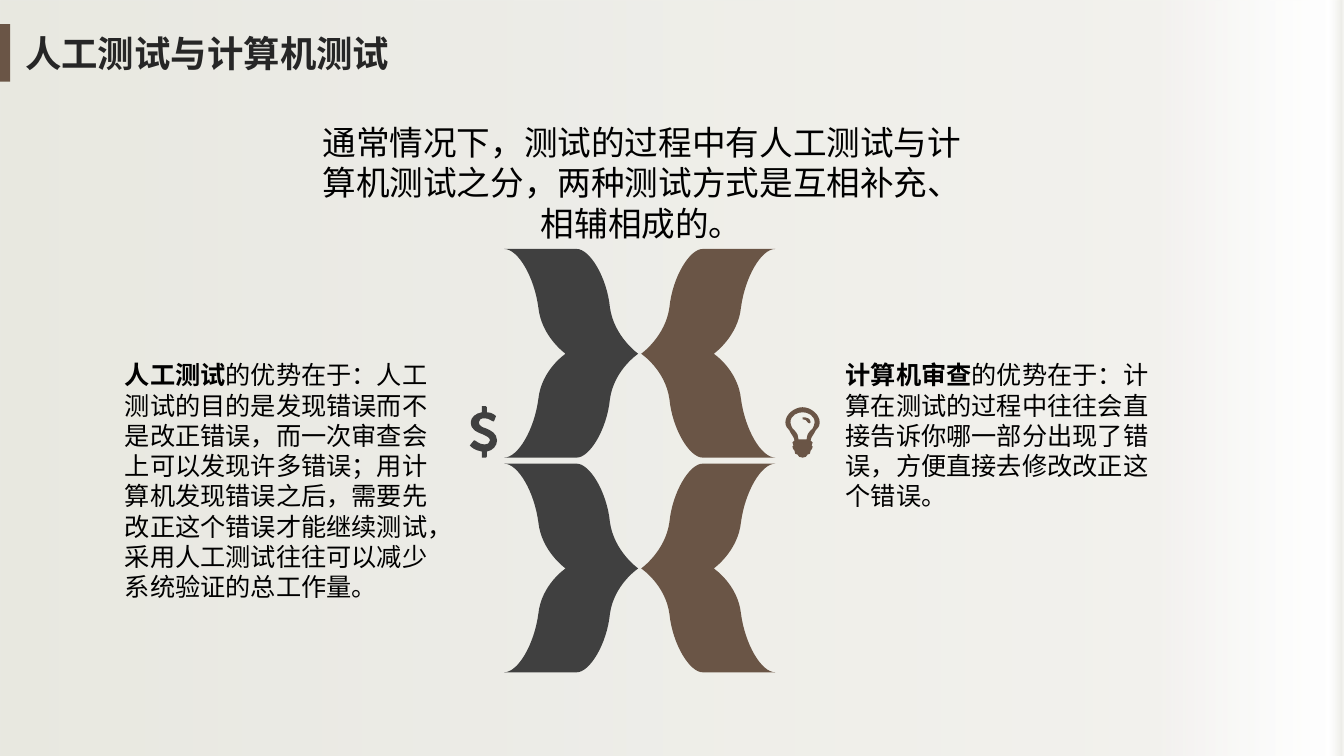
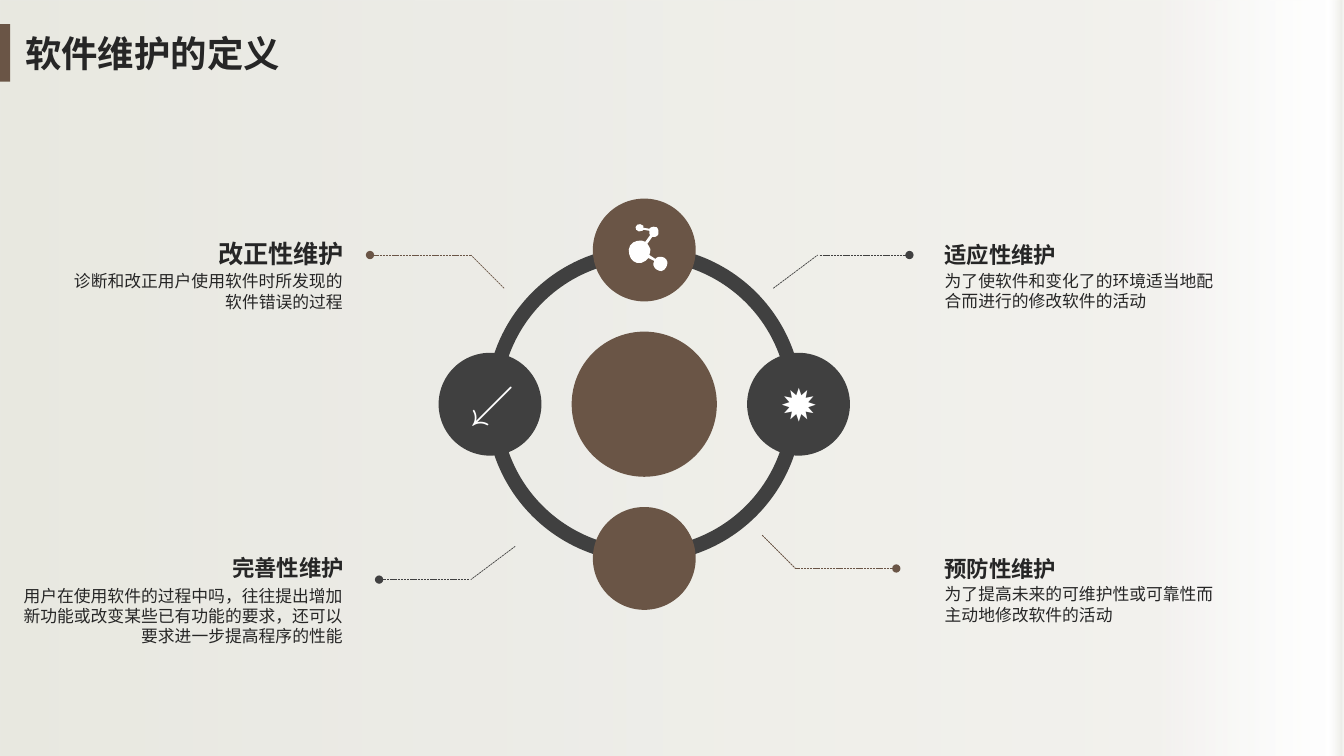
from lxml import etree
from pptx import Presentation
from pptx.dml.color import RGBColor
from pptx.enum.dml import MSO_LINE
from pptx.enum.shapes import MSO_CONNECTOR, MSO_SHAPE
from pptx.enum.text import MSO_ANCHOR, PP_ALIGN
from pptx.oxml import parse_xml
from pptx.oxml.ns import qn
from pptx.util import Inches, Pt

# Shared look
BROWN = RGBColor(0x6A, 0x55, 0x46)
CHARCOAL = RGBColor(0x40, 0x40, 0x40)
INK = RGBColor(0x26, 0x26, 0x26)
BLACK = RGBColor(0, 0, 0)
WHITE = RGBColor(0xFF, 0xFF, 0xFF)
HEAD_FONT, BODY_FONT, SYMBOL_FONT = "Noto Sans CJK SC", "Arial", "Roboto"
WIDTH, HEIGHT = 13.33, 7.5
BACKGROUND_STOPS = [(0, "E7E7DF", 94), (86, "F0EFEB", 85), (99, "FFFFFF", 62), (100, "EBEBE5", 100)]
LEFT, CENTER, RIGHT = PP_ALIGN.LEFT, PP_ALIGN.CENTER, PP_ALIGN.RIGHT
NO_INSETS = (0, 0, 0, 0)

# Slide 1: text as (box, alignment, size, runs), each run being (text, bold)
TESTING_TITLE = "人工测试与计算机测试"
TESTING_TEXTS = [
    ((3.06, 1.16, 6.61, 1.31), CENTER, 24,
     [("通常情况下，测试的过程中有人工测试与计算机测试之分，两种测试方式是互相补充、相辅相成的。", False)]),
    ((1.14, 3.52, 3.33, 2.52), LEFT, 18,
     [("人工测试", True),
      ("的优势在于：人工测试的目的是发现错误而不是改正错误，而一次审查会上可以发现许多错误；"
       "用计算机发现错误之后，需要先改正这个错误才能继续测试，采用人工测试往往可以减少系统验证的总工作量。", False)]),
    ((8.29, 3.52, 3.33, 1.61), LEFT, 18,
     [("计算机审查", True),
      ("的优势在于：计算在测试的过程中往往会直接告诉你哪一部分出现了错误，方便直接去修改改正这个错误。", False)]),
]

# Outlines: a start point, then lines (x, y) and curves (two controls and an end)
RIBBON = [[
    (0.34, 0.58), (0.37, 0.87, 0.61, 1.04, 0.61, 1.04), (0.61, 1.04, 0.37, 1.2, 0.34, 1.49),
    (0.3, 1.79, 0.14, 2.07, 0, 2.07), (0.72, 2.07), (0.85, 2.07, 1.02, 1.79, 1.05, 1.49),
    (1.09, 1.2, 1.33, 1.04, 1.33, 1.04), (1.33, 1.04, 1.09, 0.87, 1.05, 0.58),
    (1.02, 0.28, 0.85, 0, 0.72, 0), (0, 0), (0.14, 0, 0.3, 0.28, 0.34, 0.58),
]]
RIBBON_LEFT, RIBBON_RIGHT, RIBBON_TOPS = 5, 7.69, (2.47, 4.6)
BULB = [
    [(0.3, 0.23), (0.29, 0.26, 0.25, 0.3, 0.25, 0.33), (0.27, 0.35), (0.26, 0.38), (0.27, 0.39),
     (0.27, 0.41, 0.26, 0.42, 0.25, 0.43), (0.25, 0.46, 0.24, 0.47, 0.22, 0.47),
     (0.21, 0.49, 0.2, 0.5, 0.17, 0.5), (0.14, 0.5, 0.13, 0.49, 0.12, 0.47),
     (0.1, 0.47, 0.09, 0.46, 0.09, 0.43), (0.08, 0.42, 0.07, 0.41, 0.07, 0.39),
     (0.08, 0.38), (0.07, 0.35), (0.09, 0.33), (0.09, 0.3, 0.05, 0.26, 0.04, 0.23),
     (0.02, 0.21, 0, 0.19, 0, 0.15), (0, 0.07, 0.09, 0, 0.17, 0),
     (0.25, 0, 0.34, 0.07, 0.34, 0.15), (0.34, 0.19, 0.32, 0.21, 0.3, 0.23)],
    [(0.17, 0.05), (0.12, 0.05, 0.05, 0.08, 0.05, 0.15), (0.05, 0.17, 0.06, 0.19, 0.07, 0.21),
     (0.09, 0.23), (0.12, 0.26, 0.13, 0.29, 0.13, 0.32), (0.21, 0.32),
     (0.21, 0.29, 0.22, 0.26, 0.25, 0.23), (0.27, 0.21),
     (0.28, 0.19, 0.29, 0.17, 0.29, 0.15), (0.29, 0.08, 0.22, 0.05, 0.17, 0.05)],
    [(0.24, 0.16), (0.23, 0.16, 0.22, 0.15, 0.22, 0.15), (0.22, 0.13, 0.19, 0.12, 0.17, 0.12),
     (0.17, 0.1), (0.21, 0.1, 0.25, 0.11, 0.25, 0.15), (0.24, 0.16)],
]
DOLLAR = [[
    (0.17, 0.45), (0.17, 0.5), (0.16, 0.51), (0.12, 0.51), (0.12, 0.45),
    (0.05, 0.44, 0.01, 0.4, 0.01, 0.4), (0, 0.39), (0.04, 0.34), (0.05, 0.34),
    (0.06, 0.34, 0.09, 0.38, 0.15, 0.38), (0.17, 0.38, 0.2, 0.37, 0.2, 0.34),
    (0.2, 0.31, 0.17, 0.3, 0.13, 0.28), (0.08, 0.26, 0.01, 0.24, 0.01, 0.16),
    (0.01, 0.11, 0.06, 0.07, 0.12, 0.06), (0.12, 0), (0.16, 0), (0.17, 0.01), (0.17, 0.06),
    (0.23, 0.06, 0.26, 0.1, 0.26, 0.1), (0.24, 0.15), (0.23, 0.15),
    (0.22, 0.15, 0.19, 0.12, 0.15, 0.12), (0.11, 0.12, 0.09, 0.13, 0.09, 0.16),
    (0.09, 0.19, 0.12, 0.21, 0.16, 0.22), (0.21, 0.24, 0.27, 0.27, 0.27, 0.34),
    (0.27, 0.39, 0.23, 0.44, 0.17, 0.45),
]]
MOLECULE = [[
    (0.31, 0.33), (0.3, 0.33, 0.29, 0.34, 0.28, 0.35), (0.22, 0.31),
    (0.23, 0.29, 0.23, 0.27, 0.23, 0.25), (0.22, 0.23, 0.21, 0.21, 0.2, 0.2), (0.25, 0.13),
    (0.26, 0.13, 0.27, 0.13, 0.28, 0.13), (0.31, 0.12, 0.32, 0.09, 0.31, 0.07),
    (0.31, 0.04, 0.28, 0.02, 0.26, 0.03), (0.24, 0.03, 0.23, 0.04, 0.22, 0.05), (0.16, 0.04),
    (0.16, 0.03, 0.16, 0.02, 0.16, 0.02), (0.14, 0, 0.12, 0, 0.1, 0.01),
    (0.08, 0.02, 0.08, 0.05, 0.09, 0.06), (0.1, 0.08, 0.13, 0.08, 0.15, 0.07),
    (0.15, 0.07, 0.16, 0.06, 0.16, 0.06), (0.22, 0.07), (0.22, 0.08, 0.22, 0.08, 0.22, 0.09),
    (0.22, 0.1, 0.22, 0.11, 0.23, 0.11), (0.18, 0.18), (0.16, 0.17, 0.13, 0.16, 0.1, 0.17),
    (0.04, 0.18, 0, 0.24, 0.02, 0.3), (0.03, 0.36, 0.08, 0.4, 0.14, 0.39),
    (0.17, 0.38, 0.2, 0.36, 0.21, 0.34), (0.27, 0.37), (0.26, 0.38, 0.26, 0.4, 0.26, 0.41),
    (0.27, 0.45, 0.31, 0.47, 0.34, 0.47), (0.38, 0.46, 0.4, 0.42, 0.4, 0.38),
    (0.39, 0.34, 0.35, 0.32, 0.31, 0.33),
]]

# Slide 2: wheel geometry, then the labels
MAINTENANCE_TITLE = "软件维护的定义"
HUB_X, HUB_Y, HUB_RADIUS = 6.39, 4.01, 0.72
RING_RADIUS, ORBIT, SATELLITE_RADIUS = 1.57, 1.53, 0.51
SATELLITES = [(0, -1, BROWN), (1, 0, CHARCOAL), (0, 1, BROWN), (-1, 0, CHARCOAL)]
SYMBOLS = [("↙", (4.56, 3.67, 0.68, 0.64)), ("✹", (7.64, 3.69, 0.65, 0.64))]
LEADERS = [  # slanted part, then level part with a dot at its end
    (CHARCOAL, [(7.67, 2.86), (8.11, 2.53)], [(8.13, 2.53), (9.02, 2.53)]),
    (BROWN, [(7.56, 5.31), (7.89, 5.64)], [(7.89, 5.64), (8.89, 5.64)]),
    (BROWN, [(5, 2.86), (4.67, 2.53)], [(4.67, 2.53), (3.67, 2.53)]),
    (CHARCOAL, [(5.11, 5.42), (4.67, 5.75)], [(4.65, 5.75), (3.76, 5.75)]),
]
RIGHT_INSETS = (0, 0.05, 0.1, 0.05)
KINDS = [  # heading, font, size, box; body, box; alignment, body anchor, body insets
    ("适应性维护", HEAD_FONT, 16, (9.27, 2.37, 2.31, 0.31),
     "为了使软件和变化了的环境适当地配合而进行的修改软件的活动", (9.37, 2.59, 2.83, 0.59),
     LEFT, MSO_ANCHOR.MIDDLE, RIGHT_INSETS),
    ("预防性维护", HEAD_FONT, 16, (9.27, 5.49, 2.31, 0.31),
     "为了提高未来的可维护性或可靠性而主动地修改软件的活动", (9.37, 5.7, 2.83, 0.59),
     LEFT, MSO_ANCHOR.MIDDLE, RIGHT_INSETS),
    ("改正性维护", "Arial Narrow", 18, (0.99, 2.37, 2.52, 0.29),
     "诊断和改正用户使用软件时所发现的软件错误的过程", (0.69, 2.69, 2.71, 0.4),
     RIGHT, MSO_ANCHOR.TOP, NO_INSETS),
    ("完善性维护", HEAD_FONT, 16, (0.99, 5.49, 2.52, 0.29),
     "用户在使用软件的过程中吗，往往提出增加新功能或改变某些已有功能的要求，还可以要求进一步提高程序的性能",
     (0.15, 5.81, 3.25, 0.61), RIGHT, MSO_ANCHOR.TOP, NO_INSETS),
]


def paint(shape, color):
    shape.shadow.inherit = False
    shape.fill.solid()
    shape.fill.fore_color.rgb = color
    shape.line.fill.background()


def add_preset(slide, kind, box, color):
    shape = slide.shapes.add_shape(kind, *map(Inches, box))
    paint(shape, color)
    return shape


def add_circle(slide, x, y, radius, color):
    add_preset(slide, MSO_SHAPE.OVAL, (x - radius, y - radius, 2 * radius, 2 * radius), color)


def add_text(slide, box, runs, size, color=INK, font=HEAD_FONT, align=LEFT,
             anchor=MSO_ANCHOR.TOP, insets=(0.1, 0.05, 0.1, 0.05), wrap=True):
    frame = slide.shapes.add_textbox(*map(Inches, box)).text_frame
    frame.word_wrap, frame.vertical_anchor = wrap, anchor
    frame.margin_left, frame.margin_top, frame.margin_right, frame.margin_bottom = map(Inches, insets)
    paragraph = frame.paragraphs[0]
    paragraph.alignment, paragraph.line_spacing = align, Pt(size * 1.2)
    for text, bold in runs:
        run = paragraph.add_run()
        run.text = text
        run.font.name, run.font.size, run.font.bold = font, Pt(size), bold
        run.font.color.rgb = color
        if font != SYMBOL_FONT:
            etree.SubElement(run.font._element, qn("a:ea")).set("typeface", HEAD_FONT)


def add_leader_part(slide, start, end, color):
    connector = slide.shapes.add_connector(MSO_CONNECTOR.STRAIGHT, *map(Inches, start + end))
    connector.line.color.rgb, connector.line.width = color, Pt(0.5)
    connector.line.dash_style = MSO_LINE.SQUARE_DOT
    etree.SubElement(connector._element.spPr, qn("a:effectLst"))
    return connector


def add_outline(slide, contours, left, top, color, direction=1):
    """Draw contours from (left, top); direction -1 mirrors them sideways."""
    def place(x, y):
        return Inches(left + direction * x), Inches(top + y)

    # Straight outline through the end points
    builder = slide.shapes.build_freeform(*place(*contours[0][0]))
    for index, contour in enumerate(contours):
        if index:
            builder.move_to(*place(*contour[0]))
        builder.add_line_segments([place(*segment[-2:]) for segment in contour[1:]], close=True)
    shape = builder.convert_to_shape()
    paint(shape, color)

    # Bend the curved segments with their control points
    segments = [segment for contour in contours for segment in contour[1:]]
    for line, segment in zip(list(shape._element.iter(qn("a:lnTo"))), segments):
        if len(segment) == 6:
            line.tag = qn("a:cubicBezTo")
            for index in (0, 1):
                x, y = place(*segment[2 * index:2 * index + 2])
                control = etree.Element(qn("a:pt"), x=str(x - shape.left), y=str(y - shape.top))
                line.insert(index, control)


def decorate_layout(slide):
    """Put the gradient and the title band on the layout of the slide."""
    background = add_preset(slide, MSO_SHAPE.RECTANGLE, (0, 0, WIDTH, HEIGHT), WHITE)
    stops = "".join(
        f'<a:gs pos="{position * 1000}"><a:srgbClr val="{color}">'
        f'<a:alpha val="{alpha * 1000}"/></a:srgbClr></a:gs>'
        for position, color, alpha in BACKGROUND_STOPS)
    gradient = parse_xml(
        '<a:gradFill xmlns:a="http://schemas.openxmlformats.org/drawingml/2006/main">'
        f'<a:gsLst>{stops}</a:gsLst><a:lin ang="0" scaled="0"/></a:gradFill>')
    properties = background._element.spPr
    properties.replace(properties.find(qn("a:solidFill")), gradient)
    band = add_preset(slide, MSO_SHAPE.RECTANGLE, (0, 0.24, 0.1, 0.57), BROWN)
    for shape in (background, band):
        slide.slide_layout.shapes.element.append(shape._element)


def add_title(slide, title):
    add_text(slide, (0.15, 0.26, 3.91, 0.54), [(title, True)], 26)


def build_testing(slide):
    for top in RIBBON_TOPS:
        add_outline(slide, RIBBON, RIBBON_LEFT, top, CHARCOAL)
        add_outline(slide, RIBBON, RIBBON_RIGHT, top, BROWN, direction=-1)
    add_outline(slide, BULB, 7.79, 4.04, BROWN)
    add_outline(slide, DOLLAR, 4.66, 4.03, CHARCOAL)
    add_title(slide, TESTING_TITLE)
    for box, align, size, runs in TESTING_TEXTS:
        add_text(slide, box, runs, size, BLACK, align=align)


def build_maintenance(slide):
    # Ring of four quarter arcs, hub and satellites
    ring_box = (HUB_X - RING_RADIUS, HUB_Y - RING_RADIUS, 2 * RING_RADIUS, 2 * RING_RADIUS)
    for quarter in range(4):
        arc = add_preset(slide, MSO_SHAPE.BLOCK_ARC, ring_box, CHARCOAL)
        for index, value in enumerate((54 * quarter, 54 * ((quarter + 1) % 4), 0.046)):
            arc.adjustments[index] = value
    add_circle(slide, HUB_X, HUB_Y, HUB_RADIUS, BROWN)
    for across, down, color in SATELLITES:
        add_circle(slide, HUB_X + across * ORBIT, HUB_Y + down * ORBIT, SATELLITE_RADIUS, color)
    # Icons
    for symbol, box in SYMBOLS:
        add_text(slide, box, [(symbol, False)], 32, WHITE, SYMBOL_FONT, wrap=False)
    add_outline(slide, MOLECULE, 6.22, 2.22, WHITE)
    # Leader lines
    for color, slanted, level in LEADERS:
        add_leader_part(slide, *slanted, color)
        dotted = add_leader_part(slide, *level, color)
        etree.SubElement(dotted.line._get_or_add_ln(), qn("a:tailEnd")).set("type", "oval")
    # Labels
    for heading, font, size, heading_box, body, body_box, align, anchor, insets in KINDS:
        add_text(slide, body_box, [(body, False)], 12, font=BODY_FONT, align=align,
                 anchor=anchor, insets=insets)
        add_text(slide, heading_box, [(heading, True)], size, font=font, align=align,
                 anchor=MSO_ANCHOR.MIDDLE)
    add_title(slide, MAINTENANCE_TITLE)


def main():
    presentation = Presentation()
    presentation.slide_width, presentation.slide_height = Inches(WIDTH), Inches(HEIGHT)
    blank = presentation.slide_layouts[6]
    testing, maintenance = (presentation.slides.add_slide(blank) for _ in range(2))
    decorate_layout(testing)
    build_testing(testing)
    build_maintenance(maintenance)
    presentation.save("out.pptx")


if __name__ == "__main__":
    main()
